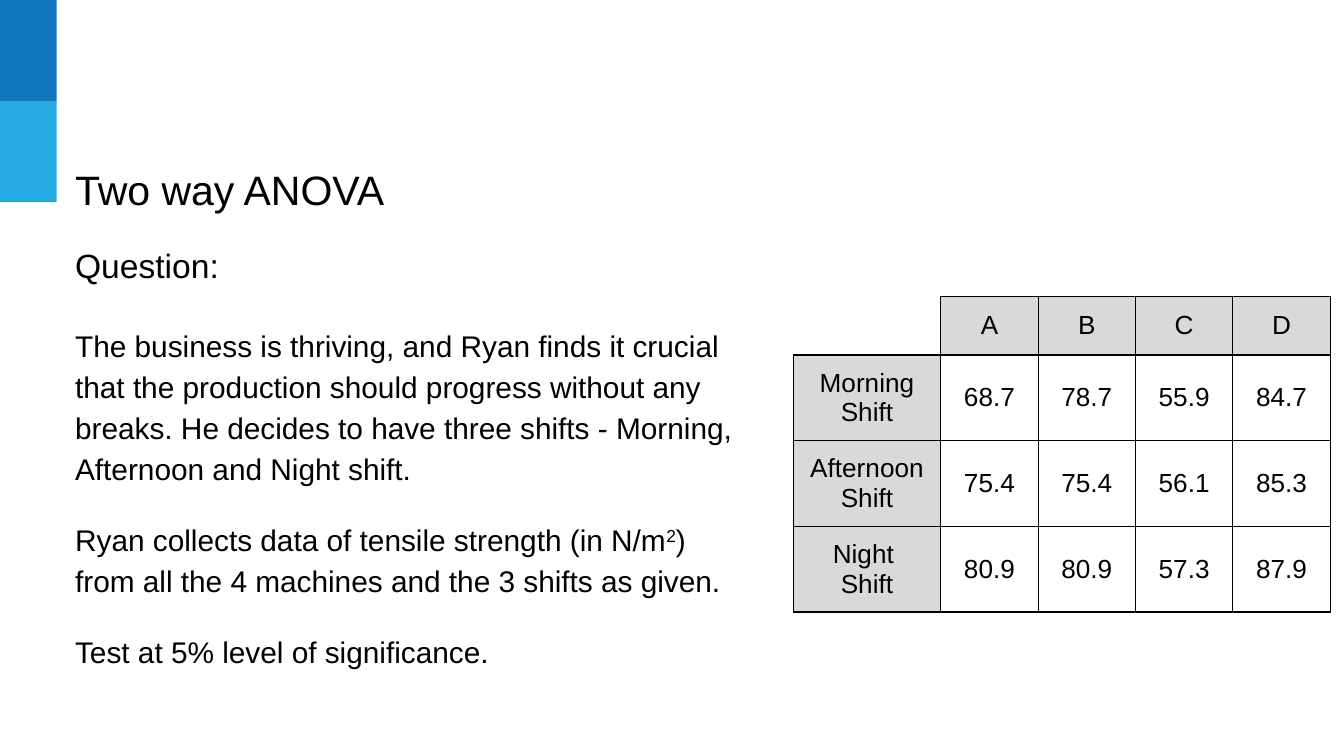
from lxml.etree import SubElement
from pptx import Presentation
from pptx.dml.color import RGBColor
from pptx.enum.shapes import MSO_SHAPE
from pptx.enum.text import MSO_ANCHOR, MSO_AUTO_SIZE, PP_ALIGN
from pptx.oxml.ns import qn
from pptx.util import Cm, Pt

INSET = Cm(0.25)


def color(hex_string):
    return RGBColor.from_string(hex_string)


def format_frame(frame, size, align):
    """Set insets and plain black Arial on a text frame."""
    frame.margin_left = frame.margin_right = INSET
    frame.margin_top = frame.margin_bottom = INSET
    frame.word_wrap = True
    for paragraph in frame.paragraphs:
        paragraph.alignment = align
        paragraph.font.name = "Arial"
        paragraph.font.size = Pt(size)
        paragraph.font.color.rgb = color("000000")


prs = Presentation()
prs.slide_width, prs.slide_height = Cm(25.4), Cm(14.29)
slide = prs.slides.add_slide(prs.slide_layouts[1])

# Corner bands
for index, band_color in enumerate(["0F75BD", "25AAE2"]):
    band = slide.shapes.add_shape(
        MSO_SHAPE.RECTANGLE, 0, Cm(1.91 * index), Cm(1.07), Cm(1.91))
    band.shadow.inherit = False
    band.fill.solid()
    band.fill.fore_color.rgb = color(band_color)
    band.line.fill.background()

# Heading
heading = slide.shapes.title
heading.left, heading.top = Cm(1.17), Cm(2.72)
heading.width, heading.height = Cm(14.83), Cm(1.09)
heading.text_frame.text = "Two way ANOVA"
heading.text_frame.auto_size = MSO_AUTO_SIZE.NONE
heading.text_frame.vertical_anchor = MSO_ANCHOR.TOP
heading.text_frame.paragraphs[0].line_spacing = 1.15
format_frame(heading.text_frame, 22, PP_ALIGN.LEFT)

# Question: space before, then the runs of each paragraph
question_parts = [
    (0, ["Question:"]),
    (20, ["The business is thriving, and Ryan finds it crucial that the "
          "production should progress without any breaks. He decides to have "
          "three shifts - Morning, Afternoon and Night shift."]),
    (16, ["Ryan collects data of tensile strength (in N/m", "2",
          ") from all the 4 machines and the 3 shifts as given."]),
    (16, ["Test at 5% level of significance."]),
]
question = slide.placeholders[1]
question.left, question.top = Cm(1.17), Cm(4.37)
question.width, question.height = Cm(13.03), Cm(8.18)
body = question.text_frame
body.auto_size = MSO_AUTO_SIZE.NONE
body.vertical_anchor = MSO_ANCHOR.TOP
for index, (space_before, texts) in enumerate(question_parts):
    paragraph = body.add_paragraph() if index else body.paragraphs[0]
    paragraph.line_spacing = 1.15 if index else 1.0
    paragraph.space_before = Pt(space_before)
    properties = paragraph._p.get_or_add_pPr()
    properties.set("marL", "0")
    properties.set("indent", "0")
    SubElement(properties, qn("a:buNone"))
    for text in texts:
        run = paragraph.add_run()
        run.text = text
        if text == "2":
            run._r.get_or_add_rPr().set("baseline", "30000")
format_frame(body, 16, PP_ALIGN.LEFT)
body.paragraphs[0].font.size = Pt(18)

# Tensile strength by shift and machine
strengths = [
    ["", "A", "B", "C", "D"],
    ["Morning Shift", "68.7", "78.7", "55.9", "84.7"],
    ["Afternoon Shift", "75.4", "75.4", "56.1", "85.3"],
    ["Night \nShift", "80.9", "80.9", "57.3", "87.9"],
]
column_widths = [2.79] + [1.84] * 4
row_heights = [1.1] + [1.62] * 3
table = slide.shapes.add_table(
    len(strengths), len(column_widths), Cm(14.99), Cm(5.61),
    Cm(sum(column_widths)), Cm(sum(row_heights))).table
table.first_row = table.horz_banding = False
for column, width in zip(table.columns, column_widths):
    column.width = Cm(width)
for row, height in zip(table.rows, row_heights):
    row.height = Cm(height)

for r, row_values in enumerate(strengths):
    for c, value in enumerate(row_values):
        cell = table.cell(r, c)
        cell.text = value
        cell.vertical_anchor = MSO_ANCHOR.MIDDLE
        format_frame(cell.text_frame, 14, PP_ALIGN.CENTER)
        cell.margin_left = cell.margin_right = INSET
        cell.margin_top = cell.margin_bottom = INSET
        is_corner = r == c == 0
        for side in ["lnL", "lnR", "lnT", "lnB"]:
            border = SubElement(cell._tc.get_or_add_tcPr(), qn(f"a:{side}"),
                                w=str(Pt(0.75)))
            if is_corner and side in ("lnL", "lnT"):
                SubElement(border, qn("a:noFill"))
            else:
                border_fill = SubElement(border, qn("a:solidFill"))
                SubElement(border_fill, qn("a:srgbClr"), val="000000")
        if (r == 0 or c == 0) and not is_corner:
            cell.fill.solid()
            cell.fill.fore_color.rgb = color("D9D9D9")
        else:
            cell.fill.background()

prs.save("out.pptx")
